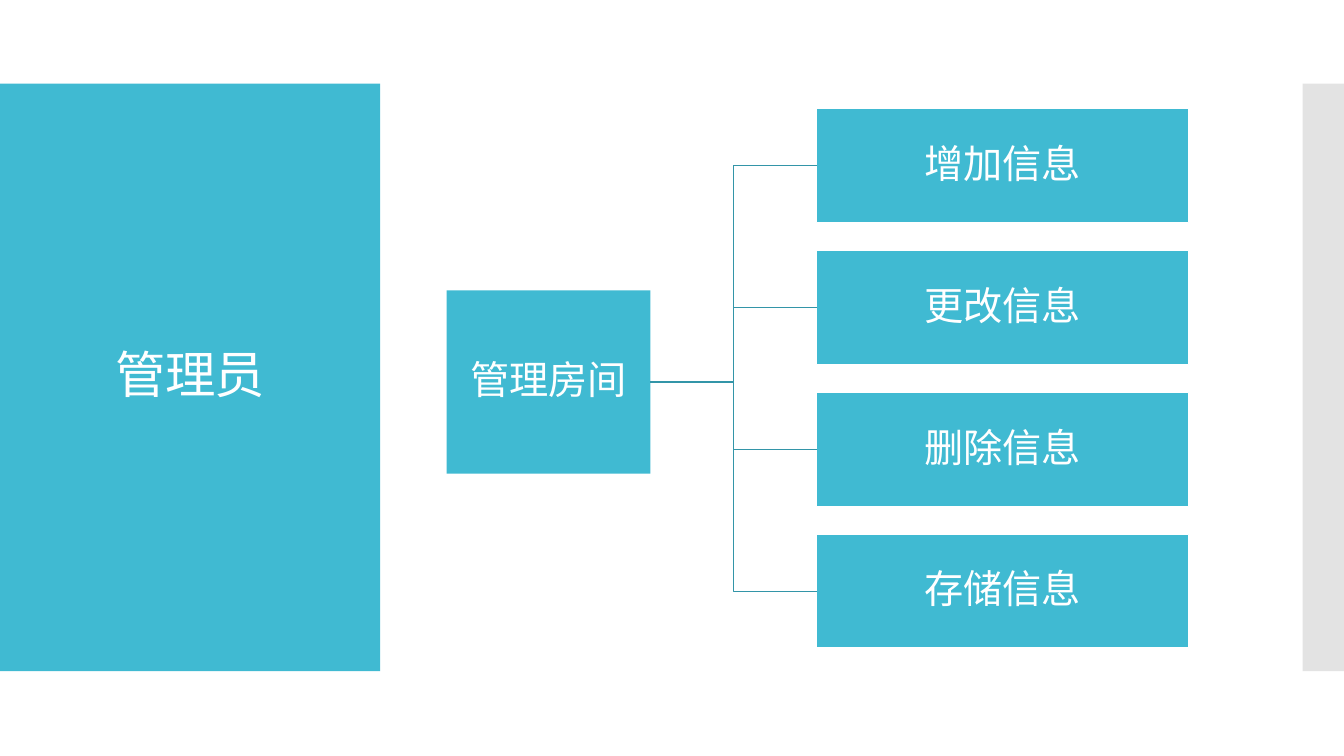
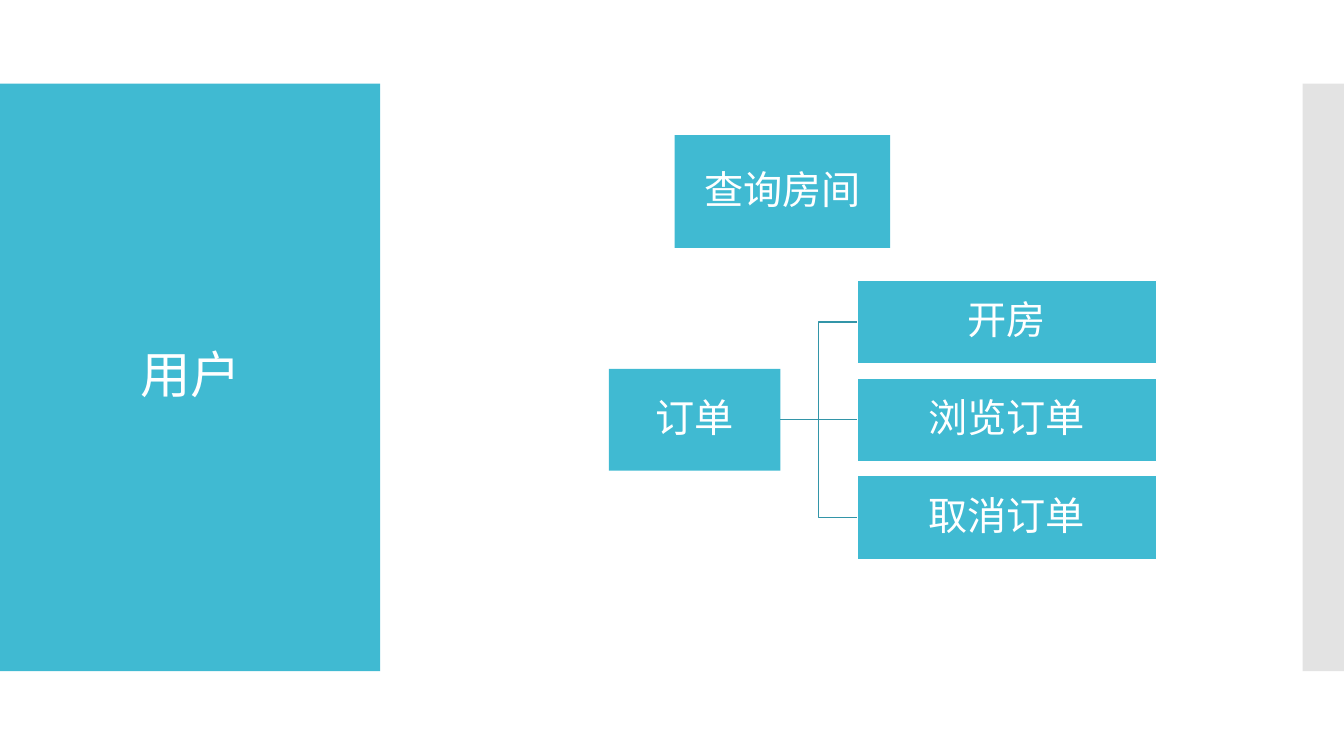
from lxml import etree
from pptx import Presentation
from pptx.dml.color import RGBColor
from pptx.enum import shapes, text
from pptx.oxml import ns
from pptx.util import Inches, Pt

# Content: boxes are (left, top, width, height) in inches
SLIDES = [
    {
        "title": "管理员",
        "root": ("管理房间", (4.43, 2.88, 2.02, 1.82)),
        "branches": ["增加信息", "更改信息", "删除信息", "存储信息"],
        "first_branch": (8.1, 1.08, 3.69, 1.13),
        "last_top": 5.3,
        "single": [],
    },
    {
        "title": "用户",
        "root": ("订单", (6.04, 3.66, 1.7, 1.01)),
        "branches": ["开房", "浏览订单", "取消订单"],
        "first_branch": (8.5, 2.78, 2.97, 0.83),
        "last_top": 4.72,
        "single": [("查询房间", (6.69, 1.34, 2.14, 1.12))],
    },
]

# Shared style
TEAL = RGBColor(0x40, 0xBA, 0xD2)
DARK_TEAL = RGBColor(0x33, 0x95, 0xA8)
GREY = RGBColor(0xC8, 0xC8, 0xC8)
WHITE = RGBColor(0xFF, 0xFF, 0xFF)
FONT = "Calibri"
LINE_WIDTH = Pt(0.85)
TITLE_PANEL = (0, 0.83, 3.77, 5.83)
EDGE_BAND = (12.92, 0.83, 0.42, 5.83)
TITLE_AREA = (0.28, 1.23, 3.22, 5.03)


def inches(box):
    return [Inches(value) for value in box]


def add_rect(slide, box, color, outline=None):
    rect = slide.shapes.add_shape(shapes.MSO_SHAPE.RECTANGLE, *inches(box))
    rect.shadow.inherit = False
    rect.fill.solid()
    rect.fill.fore_color.rgb = color
    if outline is None:
        rect.line.fill.background()
    else:
        rect.line.color.rgb = outline
        rect.line.width = LINE_WIDTH
    return rect


def write(shape, words, size, inset):
    frame = shape.text_frame
    frame.word_wrap = True
    frame.vertical_anchor = text.MSO_ANCHOR.MIDDLE
    frame.margin_left = frame.margin_right = Inches(inset)
    frame.margin_top = frame.margin_bottom = Inches(inset)
    paragraph = frame.paragraphs[0]
    paragraph.alignment = text.PP_ALIGN.CENTER
    paragraph.line_spacing = 0.9
    run = paragraph.add_run()
    run.text = words
    run.font.size = Pt(size)
    run.font.name = FONT
    run.font.color.rgb = WHITE
    return run


def add_node(slide, words, box, outline=None):
    node = add_rect(slide, box, TEAL, outline)
    write(node, words, 28, 0.02)
    return node


def link(slide, root, branch):
    start_y = root.top + root.height // 2
    end_y = branch.top + branch.height // 2
    level = abs(start_y - end_y) < Inches(0.02)
    kind = shapes.MSO_CONNECTOR.STRAIGHT if level else shapes.MSO_CONNECTOR.ELBOW
    line = slide.shapes.add_connector(
        kind, root.left + root.width, start_y, branch.left, end_y)
    line.begin_connect(root, 3)
    line.end_connect(branch, 1)
    line.line.color.rgb = DARK_TEAL
    line.line.width = LINE_WIDTH
    etree.SubElement(line._element.spPr, ns.qn("a:effectLst"))


def add_frame(slide, title):
    add_rect(slide, TITLE_PANEL, TEAL)
    band = add_rect(slide, EDGE_BAND, GREY)
    color = band._element.spPr.find(".//" + ns.qn("a:srgbClr"))
    etree.SubElement(color, ns.qn("a:alpha")).set("val", "50000")
    heading = slide.shapes.add_textbox(*inches(TITLE_AREA))
    run = write(heading, title, 36, 0.05)
    run._r.get_or_add_rPr().set("spc", "-60")


# Build the slides
deck = Presentation()
deck.slide_width, deck.slide_height = Inches(13.33), Inches(7.5)

for content in SLIDES:
    slide = deck.slides.add_slide(deck.slide_layouts[6])
    add_frame(slide, content["title"])

    # Tree: one root, evenly spaced branches
    root = add_node(slide, *content["root"])
    left, top, width, height = content["first_branch"]
    pitch = (content["last_top"] - top) / (len(content["branches"]) - 1)
    for row, words in enumerate(content["branches"]):
        box = (left, top + row * pitch, width, height)
        link(slide, root, add_node(slide, words, box, WHITE))

    # Boxes outside the tree
    for words, box in content["single"]:
        add_node(slide, words, box)

deck.save("out.pptx")
